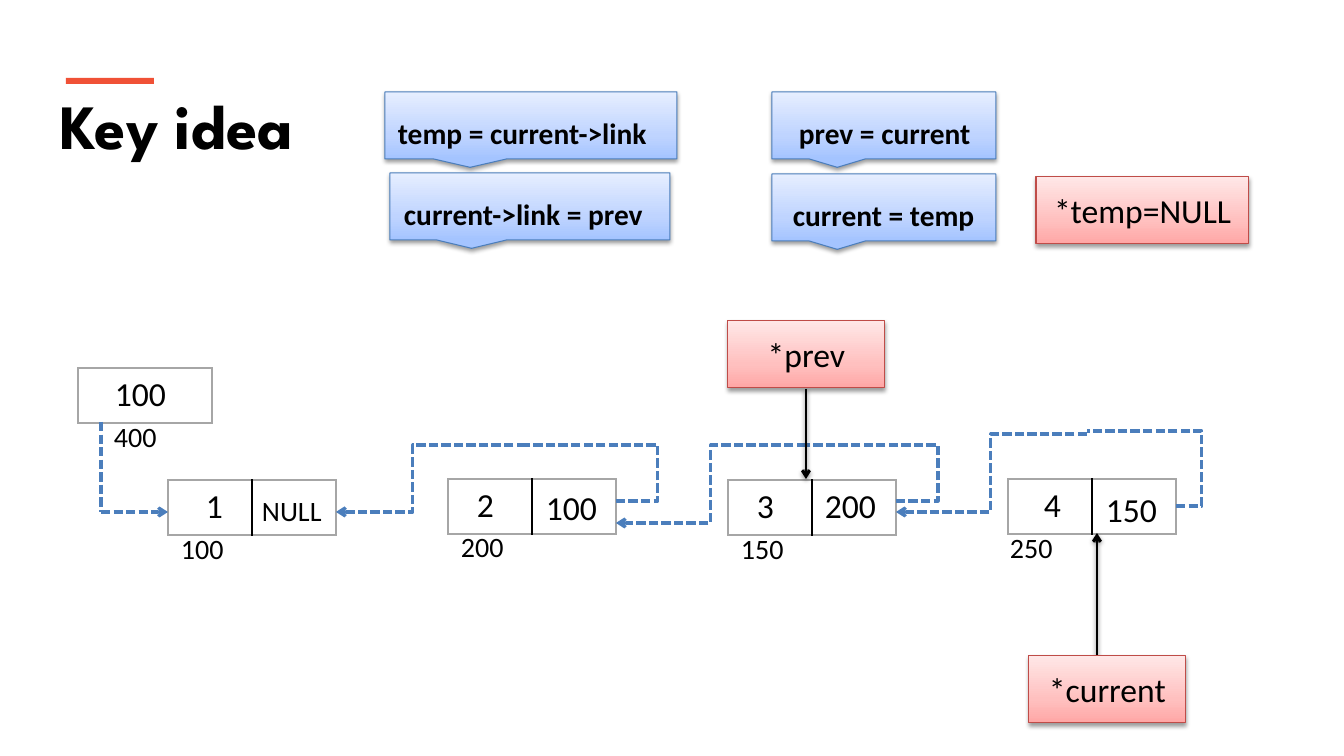
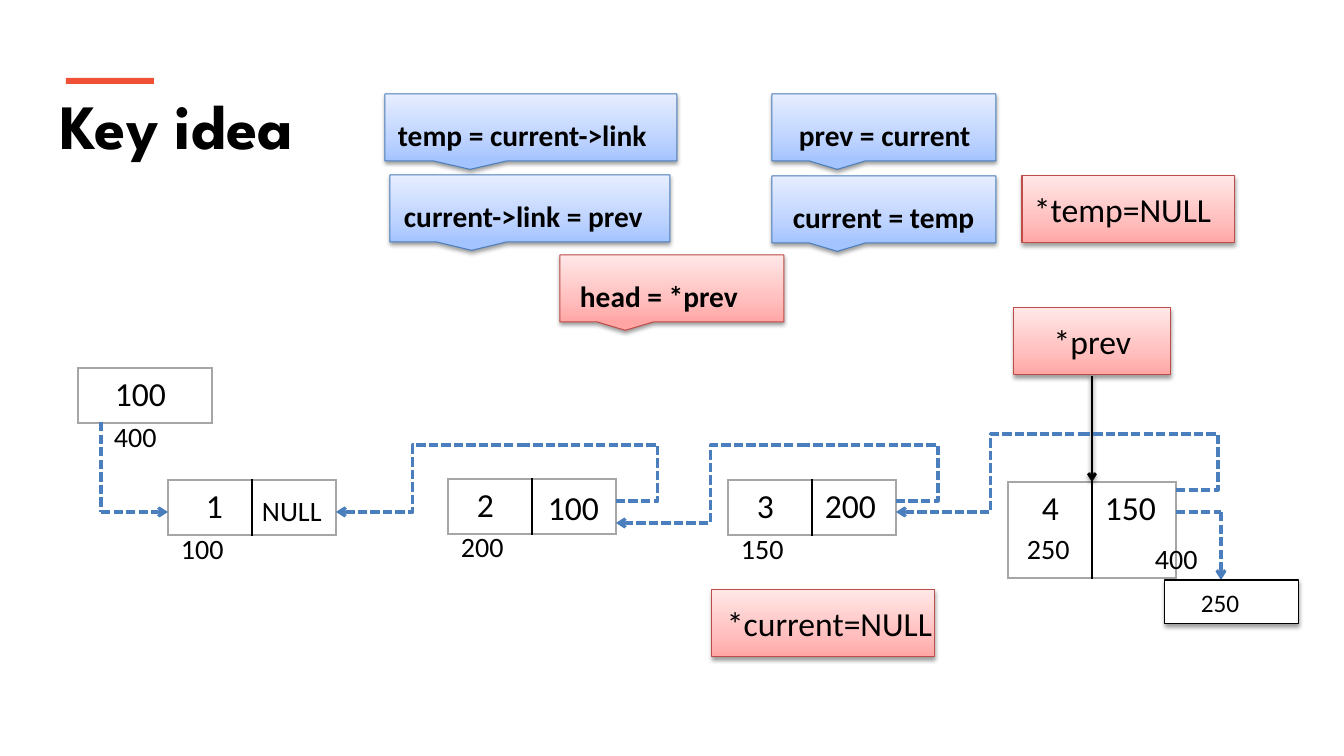
import copy
import pptx
import pptx.util
import pptx.oxml
import pptx.oxml.ns
import pptx.dml.color
import pptx.enum.dml
import pptx.enum.shapes
import pptx.enum.text

RGB = pptx.dml.color.RGBColor
BLACK = RGB(0, 0, 0)
WHITE = RGB(255, 255, 255)
GREY = RGB(0xA6, 0xA6, 0xA6)
ORANGE = RGB(0xF0, 0x51, 0x36)
BLUE = RGB(0x4B, 0x7E, 0xBC)
RED = RGB(0xBF, 0x4C, 0x48)
BLUES = (RGB(0xA4, 0xC4, 0xFF), RGB(0xBF, 0xD4, 0xFF), RGB(0xE6, 0xEE, 0xFF))
REDS = (RGB(0xFF, 0xA6, 0xA5), RGB(0xFF, 0xC0, 0xBF), RGB(0xFF, 0xE7, 0xE7))
FONT = "Calibri"
PX = 914400 / 100.8
NS = pptx.oxml.ns.nsdecls("a")
SHADOW = (f'<a:effectLst {NS}><a:outerShdw blurRad="40000" dist="20000" dir="5400000" '
          'rotWithShape="0"><a:srgbClr val="000000"><a:alpha val="38000"/></a:srgbClr>'
          '</a:outerShdw></a:effectLst>')
RECT = pptx.enum.shapes.MSO_SHAPE.RECTANGLE
CALL = pptx.enum.shapes.MSO_SHAPE.RECTANGULAR_CALLOUT
LINK = pptx.enum.shapes.MSO_CONNECTOR
ALIGN = pptx.enum.text.PP_ALIGN
ANCHOR = pptx.enum.text.MSO_ANCHOR


def box(slide, rect, text, size=24, left=13, kind=None, tint=None, edge=None, align=ALIGN.LEFT):
    area = [round(v * PX) for v in rect]
    if kind is None:
        shape = slide.shapes.add_textbox(*area)
    else:
        shape = slide.shapes.add_shape(kind, *area)
        if tint:
            shape.fill.gradient()
            shape.fill.gradient_angle = 90
            stops = shape._element.spPr.find(".//" + pptx.oxml.ns.qn("a:gsLst"))
            stops.append(copy.deepcopy(stops[0]))
            for stop, spot, color in zip(shape.fill.gradient_stops, (0, 0.35, 1), tint):
                stop.position = spot
                stop.color.rgb = color
        else:
            shape.fill.solid()
            shape.fill.fore_color.rgb = WHITE
        shape.line.color.rgb = edge
        shape.line.width = pptx.util.Pt(0.75)
        shape._element.spPr.append(pptx.oxml.parse_xml(SHADOW))
    frame = shape.text_frame
    frame.word_wrap = True
    frame.margin_left = round(left * PX)
    frame.margin_right = 0 if align == ALIGN.LEFT else round(left * PX)
    frame.margin_top = round((21 if kind == CALL else 7) * PX)
    frame.margin_bottom = round(7 * PX)
    frame.vertical_anchor = ANCHOR.MIDDLE if tint else ANCHOR.TOP
    line = frame.paragraphs[0]
    line.text = text
    line.alignment = align
    line.font.name = FONT
    line.font.size = pptx.util.Pt(size)
    line.font.bold = kind == CALL
    line.font.color.rgb = BLACK


def link(slide, x1, y1, x2, y2, via=None, head=True, color=BLUE):
    kind = LINK.STRAIGHT if via is None else LINK.ELBOW
    wire = slide.shapes.add_connector(kind, *[round(v * PX) for v in (x1, y1, x2, y2)])
    form = wire._element.spPr
    if via is not None:
        turn = round((via - x1) / (x2 - x1) * 100000)
        form.prstGeom.get_or_add_avLst().append(pptx.oxml.parse_xml(
            f'<a:gd {NS} name="adj1" fmla="val {turn}"/>'))
    wire.line.color.rgb = color
    wire.line.width = pptx.util.Pt(2.25 if color == BLUE else 2)
    if color == BLUE:
        wire.line.dash_style = pptx.enum.dml.MSO_LINE.SQUARE_DOT
    if head:
        form.find(pptx.oxml.ns.qn("a:ln")).append(
            pptx.oxml.parse_xml(f'<a:tailEnd {NS} type="arrow"/>'))
    form.append(pptx.oxml.parse_xml(SHADOW if color == BLACK else f'<a:effectLst {NS}/>'))


deck = pptx.Presentation()
deck.slide_width = round(1344 * PX)
deck.slide_height = round(756 * PX)

NODES = [
    (168, 480, 54, [("1", 38), ("", 13)]),
    (448, 479, 54, [("2", 29), ("", 13)]),
    (728, 480, 54, [("3", 29), ("200", 13)]),
    (78, 368, 54, [("100", 37)]),
]
LASTS = [
    (1008, 479, 54, [("4", 36), ("", 13)]),
    (1008, 482, 96, [("4", 34), ("150", 13)]),
]
LABELS = [("100", 168, 525), ("400", 101, 413), ("200", 448, 523), ("150", 728, 525)]
CALLS = [
    ("temp = current->link", 385, 92, 292, 13),
    ("current->link = prev", 390, 173, 280, 14),
    ("prev = current", 772, 92, 224, 27),
    ("current = temp", 772, 174, 224, 21),
]
WIRES = [
    (101, 422, 101, 512, None, False),
    (101, 512, 168, 512, None, True),
    (616, 501, 526, 445, 658, False),
    (526, 445, 336, 512, 413, True),
    (896, 501, 806, 445, 938, False),
    (806, 445, 616, 523, 711, True),
    (1087, 434, 896, 512, 991, True),
]

for shift, last in zip((0, 2), LASTS):
    slide = deck.slides.add_slide(deck.slide_layouts[5])
    title = slide.shapes.title
    title.left, title.top, title.width, title.height = [round(v * PX) for v in (50, 81, 1228, 87)]
    frame = title.text_frame
    frame.auto_size = pptx.enum.text.MSO_AUTO_SIZE.NONE
    frame.vertical_anchor = ANCHOR.TOP
    line = frame.paragraphs[0]
    line.text = "Key idea"
    line.alignment = ALIGN.LEFT
    line.font.name = "League Spartan"
    line.font.size = pptx.util.Pt(45)
    line.font.bold = True
    line.font.color.rgb = BLACK
    bar = slide.shapes.add_shape(RECT, *[round(v * PX) for v in (66, 78, 88, 6)])
    bar.shadow.inherit = False
    bar.fill.solid()
    bar.fill.fore_color.rgb = ORANGE
    bar.line.fill.background()

    for x, y, high, cells in NODES + [last]:
        wide = 168 if len(cells) == 2 else 134
        table = slide.shapes.add_table(
            1, len(cells), *[round(v * PX) for v in (x, y, wide, high)]).table
        table.first_row = False
        table.horz_banding = False
        for col, (text, left) in enumerate(cells):
            cell = table.cell(0, col)
            cell.margin_left = round(left * PX)
            cell.margin_right = 0
            cell.margin_top = cell.margin_bottom = round(7 * PX)
            line = cell.text_frame.paragraphs[0]
            line.text = text
            line.font.name = FONT
            line.font.size = pptx.util.Pt(24)
            line.font.color.rgb = BLACK
            form = cell._tc.get_or_add_tcPr()
            for side in "LRTB":
                inner = (side == "R" and col < len(cells) - 1) or (side == "L" and col > 0)
                form.append(pptx.oxml.parse_xml(
                    f'<a:ln{side} {NS} w="12700"><a:solidFill><a:srgbClr '
                    f'val="{BLACK if inner else GREY}"/></a:solidFill></a:ln{side}>'))
            cell.fill.background()

    for text, x, y in LABELS:
        box(slide, (x, y, 112, 47), text, 20)
    box(slide, (249, 487, 90, 47), "NULL", 20)
    for wire in WIRES:
        link(slide, *wire)
    for text, x, y, wide, left in CALLS:
        box(slide, (x, y + shift, wide, 67), text, 21, left, CALL, BLUES, BLUE)

first, second = deck.slides

for slide, x, y in ((first, 728, 321), (second, 1014, 308)):
    box(slide, (x, y, 157, 67), "*prev", 24, 13, RECT, REDS, RED, ALIGN.CENTER)
for slide, text, x, y, wide, left in (
        (first, "*temp=NULL", 1036, 177, 213, 18),
        (second, "*temp=NULL", 1022, 176, 213, 12),
        (second, "*current=NULL", 712, 590, 223, 15)):
    box(slide, (x, y, wide, 67), text, 24, left, RECT, REDS, RED)
for slide, text, x, y, size in (
        (first, "100", 533, 480, 24), (first, "150", 1093, 482, 24),
        (first, "250", 997, 523, 20), (second, "100", 535, 480, 24),
        (second, "250", 1014, 525, 20)):
    box(slide, (x, y, 112, 54), text, size)

link(first, 806, 389, 806, 479, color=BLACK)
link(first, 1097, 656, 1097, 533, color=BLACK)
link(first, 1176, 506, 1087, 431, 1202, False)
box(first, (1029, 656, 157, 67), "*current", 24, 13, RECT, REDS, RED, ALIGN.CENTER)

link(second, 1092, 376, 1092, 482, color=BLACK)
link(second, 1176, 490, 1087, 434, 1218, False)
link(second, 1176, 512, 1221, 512, head=False)
link(second, 1221, 512, 1221, 580)
box(second, (560, 255, 224, 67), "head = *prev", 21, 20, CALL, REDS, RED)
box(second, (1165, 580, 134, 44), "250", 18, 36, RECT, None, BLACK)
box(second, (1142, 535, 112, 47), "400", 20)

deck.save("out.pptx")
